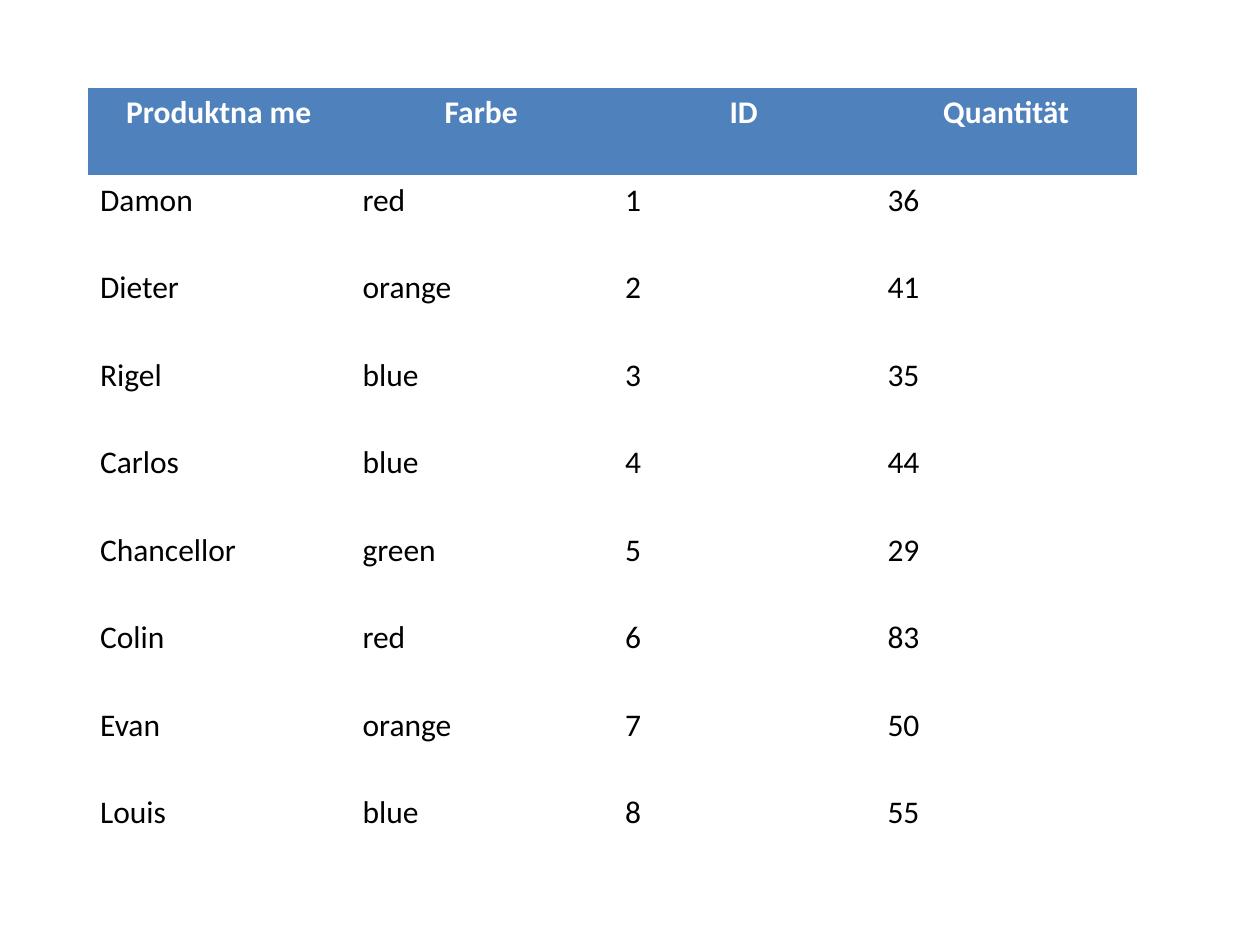
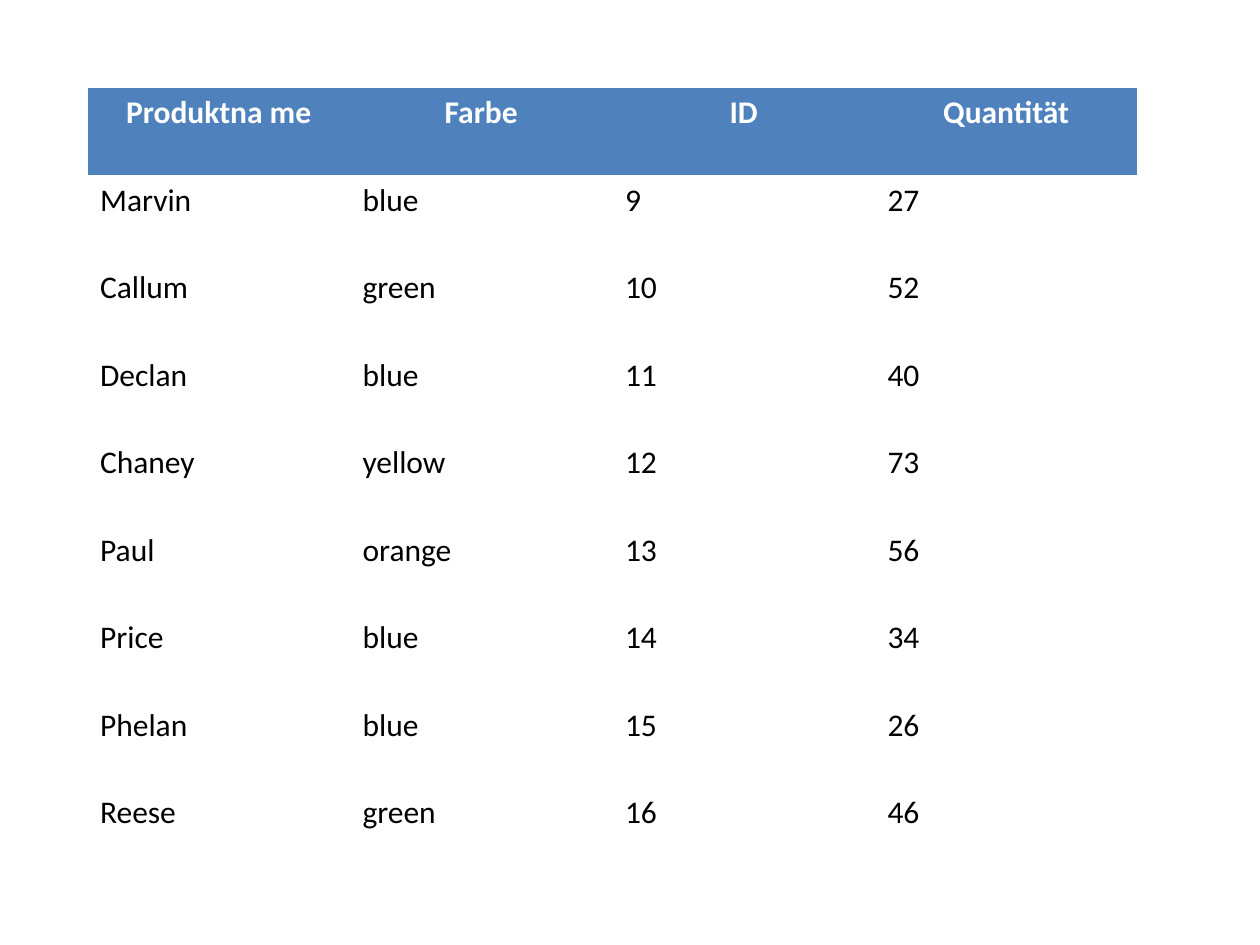
from dataclasses import dataclass

from pptx import Presentation
from pptx.dml.color import RGBColor
from pptx.enum.text import PP_ALIGN
from pptx.oxml.ns import qn
from pptx.slide import Slide
from pptx.table import _Cell
from pptx.util import Inches, Pt

LEFT, CENTER = PP_ALIGN.LEFT, PP_ALIGN.CENTER

WHITE = RGBColor(0xFF, 0xFF, 0xFF)
BLACK = RGBColor(0x00, 0x00, 0x00)
BLUE = RGBColor(0x4F, 0x81, 0xBD)

FONT = "Calibri"
TEXT_SIZE = Pt(18)
UNIT = Pt(50)
COL_UNITS = 3
PLAIN_TABLE = "{2D5ABB26-0587-4C30-8999-92F81FD0307C}"
BLANK_LAYOUT = 6


@dataclass(frozen=True)
class CellStyle:
    color: RGBColor
    bold: bool
    align: PP_ALIGN
    fill: RGBColor | None = None


@dataclass(frozen=True)
class Product:
    name: str
    color: str
    quantity: int


HEADER_STYLE = CellStyle(WHITE, True, CENTER, BLUE)
BODY_STYLE = CellStyle(BLACK, False, LEFT)
HEADERS = ("Produktna me", "Farbe", "ID", "Quantität")
ROWS_PER_SLIDE = 8

PRODUCTS = (
    Product("Damon", "red", 36),
    Product("Dieter", "orange", 41),
    Product("Rigel", "blue", 35),
    Product("Carlos", "blue", 44),
    Product("Chancellor", "green", 29),
    Product("Colin", "red", 83),
    Product("Evan", "orange", 50),
    Product("Louis", "blue", 55),
    Product("Marvin", "blue", 27),
    Product("Callum", "green", 52),
    Product("Declan", "blue", 40),
    Product("Chaney", "yellow", 73),
    Product("Paul", "orange", 56),
    Product("Price", "blue", 34),
    Product("Phelan", "blue", 26),
    Product("Reese", "green", 46),
)


def write_cell(cell: _Cell, text: str, style: CellStyle) -> None:
    if style.fill is None:
        cell.fill.background()
    else:
        cell.fill.solid()
        cell.fill.fore_color.rgb = style.fill
    p = cell.text_frame.paragraphs[0]
    p.alignment = style.align
    r = p.add_run()
    r.text = text
    r.font.name = FONT
    r.font.size = TEXT_SIZE
    r.font.bold = style.bold
    r.font.color.rgb = style.color


def add_product_table(s: Slide, products: tuple[Product, ...], first_id: int) -> None:
    rows = [HEADERS]
    for product_id, product in enumerate(products, first_id):
        rows.append((product.name, product.color, str(product_id), str(product.quantity)))
    width = UNIT * COL_UNITS * len(HEADERS)
    height = UNIT * len(rows)
    table = s.shapes.add_table(len(rows), len(HEADERS), UNIT, UNIT, width, height).table
    table.horz_banding = False
    table._tbl.tblPr.find(qn("a:tableStyleId")).text = PLAIN_TABLE
    for i, row in enumerate(rows):
        style = HEADER_STYLE if i == 0 else BODY_STYLE
        for j, text in enumerate(row):
            write_cell(table.cell(i, j), text, style)


def main() -> None:
    prs = Presentation()
    prs.slide_width, prs.slide_height = Inches(10), Inches(7.5)
    for start in range(0, len(PRODUCTS), ROWS_PER_SLIDE):
        s = prs.slides.add_slide(prs.slide_layouts[BLANK_LAYOUT])
        add_product_table(s, PRODUCTS[start:start + ROWS_PER_SLIDE], start + 1)
    prs.save("out.pptx")


if __name__ == "__main__":
    main()
